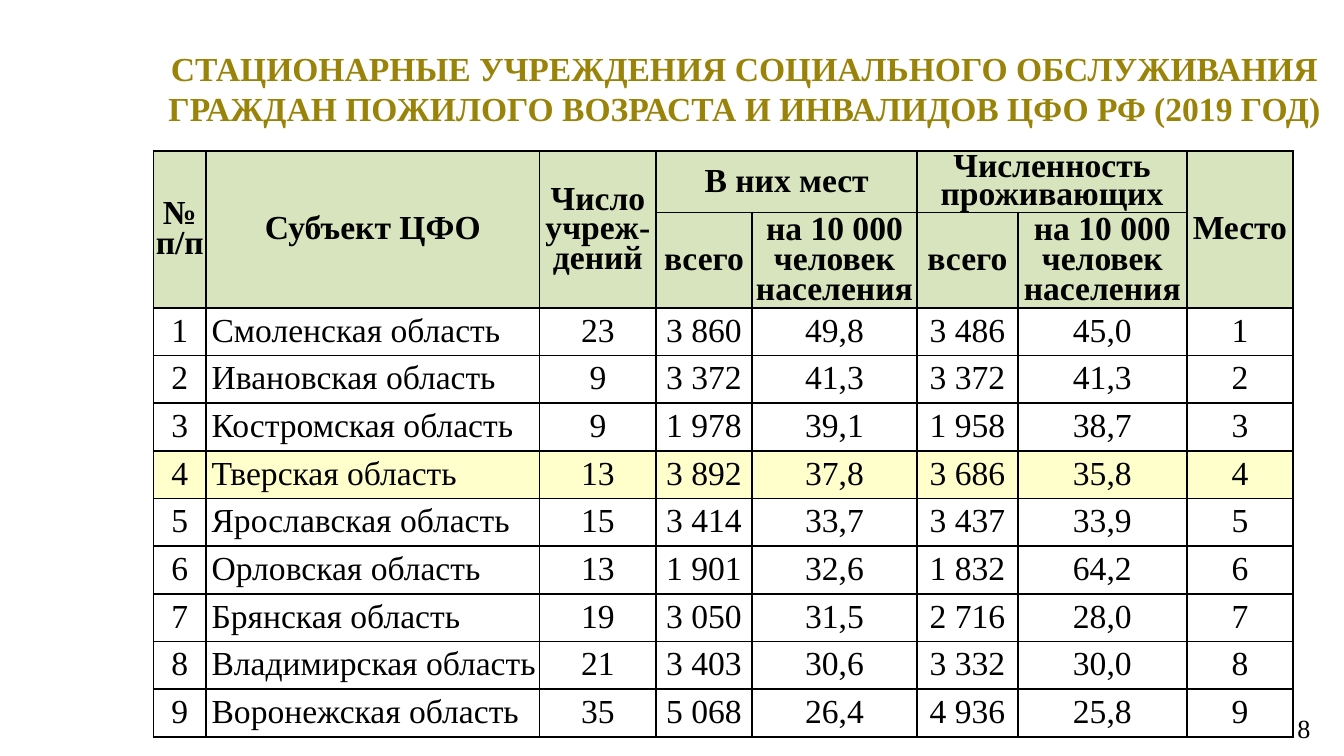
from lxml.etree import SubElement
from pptx import Presentation
from pptx.dml.color import RGBColor
from pptx.enum.text import MSO_ANCHOR, PP_ALIGN
from pptx.oxml.ns import qn
from pptx.util import Pt

FONT = "Times New Roman"
COLORS = {
    "title": "998308",
    "text": "000000",
    "border": "000000",
    "header": "D7E4BD",
    "highlight": "FFFFCC",
}
COLUMN_WIDTHS = [28.3, 178.6, 62.5, 51.2, 88.6, 53.9, 90.7, 56.7]
HEADER_HEIGHTS = [32.6, 51]
ROW_HEIGHT = 25.55
HIGHLIGHTED = "Тверская область"
PER_10000 = "на 10 000 человек населения"
HEADERS = [
    (0, 0, 1, 0, "№ п/п"),
    (0, 1, 1, 1, "Субъект ЦФО"),
    (0, 2, 1, 2, "Число учреж-дений"),
    (0, 3, 0, 4, "В них мест"),
    (0, 5, 0, 6, "Численность проживающих"),
    (0, 7, 1, 7, "Место"),
    (1, 3, 1, 3, "всего"),
    (1, 4, 1, 4, PER_10000),
    (1, 5, 1, 5, "всего"),
    (1, 6, 1, 6, PER_10000),
]
REGIONS = [
    ("Смоленская область", "23", "3 860", "49,8", "3 486", "45,0"),
    ("Ивановская область", "9", "3 372", "41,3", "3 372", "41,3"),
    ("Костромская область", "9", "1 978", "39,1", "1 958", "38,7"),
    ("Тверская область", "13", "3 892", "37,8", "3 686", "35,8"),
    ("Ярославская область", "15", "3 414", "33,7", "3 437", "33,9"),
    ("Орловская область", "13", "1 901", "32,6", "1 832", "64,2"),
    ("Брянская область", "19", "3 050", "31,5", "2 716", "28,0"),
    ("Владимирская область", "21", "3 403", "30,6", "3 332", "30,0"),
    ("Воронежская область", "35", "5 068", "26,4", "4 936", "25,8"),
]


def set_attrs(obj, values):
    for name, value in values.items():
        setattr(obj, name, value)


def write_text(tf, text, align, size=18, bold=False, color="text", spacing=None):
    p = tf.paragraphs[0]
    set_attrs(p, {"alignment": align, "line_spacing": spacing})
    r = p.add_run()
    r.text = text
    set_attrs(r.font, {"name": FONT, "size": Pt(size), "bold": bold})
    r.font.color.rgb = RGBColor.from_string(COLORS[color])


def add_label(slide, box, text, align, margins, **style):
    tf = slide.shapes.add_textbox(*map(Pt, box)).text_frame
    x, y = map(Pt, margins)
    set_attrs(tf, {
        "word_wrap": True,
        "vertical_anchor": MSO_ANCHOR.MIDDLE,
        "margin_left": x,
        "margin_right": x,
        "margin_top": y,
        "margin_bottom": y,
    })
    write_text(tf, text, align, **style)


def add_borders(cell):
    tc_pr = cell._tc.get_or_add_tcPr()
    for side in ("a:lnL", "a:lnR", "a:lnT", "a:lnB"):
        ln = SubElement(tc_pr, qn(side), w=str(Pt(1)))
        fill = SubElement(ln, qn("a:solidFill"))
        SubElement(fill, qn("a:srgbClr"), val=COLORS["border"])


def format_cell(cell, fill=None, left=0.72, right=0.72):
    set_attrs(cell, {
        "vertical_anchor": MSO_ANCHOR.MIDDLE,
        "margin_left": Pt(left),
        "margin_right": Pt(right),
        "margin_top": Pt(2.88),
        "margin_bottom": Pt(0),
    })
    add_borders(cell)
    if fill:
        cell.fill.solid()
        cell.fill.fore_color.rgb = RGBColor.from_string(COLORS[fill])
    else:
        cell.fill.background()


def fill_header(table):
    for row in range(len(HEADER_HEIGHTS)):
        for col in range(len(COLUMN_WIDTHS)):
            format_cell(table.cell(row, col), "header")
    for top, left, bottom, right, text in HEADERS:
        cell = table.cell(top, left)
        if (top, left) != (bottom, right):
            cell.merge(table.cell(bottom, right))
        spacing = Pt(15 if text.startswith("Численность") else 16)
        write_text(cell.text_frame, text, PP_ALIGN.CENTER, bold=True, spacing=spacing)


def fill_body(table):
    for place, region in enumerate(REGIONS, 1):
        fill = "highlight" if region[0] == HIGHLIGHTED else None
        row = place + len(HEADER_HEIGHTS) - 1
        for col, text in enumerate((str(place), *region, str(place))):
            cell = table.cell(row, col)
            is_name = col == 1
            insets = {"left": 2.88, "right": 1.44} if is_name else {}
            format_cell(cell, fill, **insets)
            align = PP_ALIGN.LEFT if is_name else PP_ALIGN.CENTER
            write_text(cell.text_frame, text, align, spacing=Pt(16))


def add_region_table(slide, left, top):
    heights = HEADER_HEIGHTS + [ROW_HEIGHT] * len(REGIONS)
    box = (left, top, sum(COLUMN_WIDTHS), sum(heights))
    table = slide.shapes.add_table(
        len(heights), len(COLUMN_WIDTHS), *map(Pt, box)
    ).table
    set_attrs(table, {"first_row": False, "horz_banding": False})
    for column, width in zip(table.columns, COLUMN_WIDTHS):
        column.width = Pt(width)
    for row, height in zip(table.rows, heights):
        row.height = Pt(height)
    fill_header(table)
    fill_body(table)


def main():
    prs = Presentation()
    set_attrs(prs, {"slide_width": Pt(720), "slide_height": Pt(405)})
    slide = prs.slides.add_slide(prs.slide_layouts[6])
    add_label(slide, (512.6, 375.8, 196.6, 28), "8", PP_ALIGN.RIGHT, (7.2, 3.6), size=14)
    add_label(
        slide, (80, 26, 638, 42.5),
        "СТАЦИОНАРНЫЕ УЧРЕЖДЕНИЯ СОЦИАЛЬНОГО ОБСЛУЖИВАНИЯ "
        "ГРАЖДАН ПОЖИЛОГО ВОЗРАСТА И ИНВАЛИДОВ ЦФО РФ (2019 ГОД)",
        PP_ALIGN.CENTER, (5.04, 2.88), bold=True, color="title",
    )
    add_region_table(slide, 82.2, 81)
    prs.save("out.pptx")


if __name__ == "__main__":
    main()
